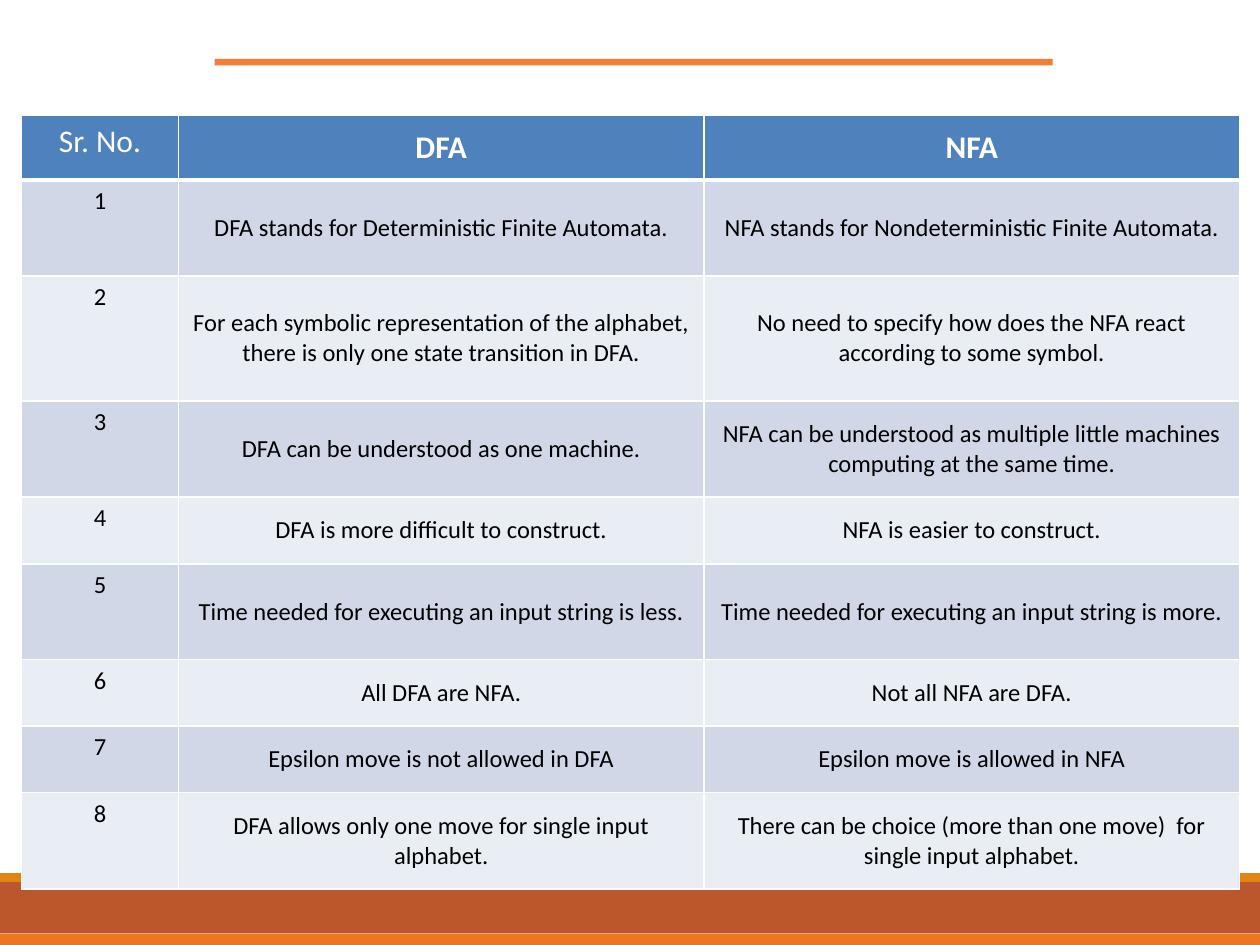
from lxml import etree
from pptx import Presentation
from pptx import util as u
from pptx.dml.color import RGBColor
from pptx.enum import shapes, text
from pptx.oxml.ns import qn

COLORS = {
    "band": "BC572C", "band_top": "E38312", "band_bottom": "EC771F",
    "title_rule": "F47C35", "header": "4F81BD", "odd": "D0D8E8",
    "even": "E9EDF4", "white": "FFFFFF", "black": "000000",
}
FONT = "Calibri"
SLIDE_W, SLIDE_H = 25.4, 19.05
COL_WIDTHS = [3.17, 10.59, 10.8]
ROW_HEIGHTS = [1.3, 1.93, 2.52, 1.93, 1.33, 1.93, 1.33, 1.33, 1.93]
HEADERS = ["Sr. No.", "DFA", "NFA"]
COMPARISONS = [
    ("DFA stands for Deterministic Finite Automata.",
     "NFA stands for Nondeterministic Finite Automata."),
    ("For each symbolic representation of the alphabet, there is only one state transition in DFA.",
     "No need to specify how does the NFA react according to some symbol."),
    ("DFA can be understood as one machine.",
     "NFA can be understood as multiple little machines computing at the same time."),
    ("DFA is more difficult to construct.", "NFA is easier to construct."),
    ("Time needed for executing an input string is less.",
     "Time needed for executing an input string is more."),
    ("All DFA are NFA.", "Not all NFA are DFA."),
    ("Epsilon move is not allowed in DFA", "Epsilon move is allowed in NFA"),
    ("DFA allows only one move for single input alphabet.",
     "There can be choice (more than one move)  for single input alphabet."),
]


def rgb(name):
    return RGBColor.from_string(COLORS[name])


def add_bar(s, left, top, width, height, color):
    bar = s.shapes.add_shape(shapes.MSO_SHAPE.RECTANGLE, u.Cm(left), u.Cm(top),
                             u.Cm(width), u.Cm(height))
    bar.shadow.inherit = False
    bar.fill.solid()
    bar.fill.fore_color.rgb = rgb(color)
    bar.line.fill.background()


def add_borders(cell, bottom):
    """Draw white cell borders; must run before the cell is filled."""
    tcPr = cell._tc.get_or_add_tcPr()
    for side, width in (("L", 1), ("R", 1), ("T", 1), ("B", bottom)):
        ln = etree.SubElement(tcPr, qn(f"a:ln{side}"), w=str(u.Pt(width)))
        fill = etree.SubElement(ln, qn("a:solidFill"))
        etree.SubElement(fill, qn("a:srgbClr"), val=COLORS["white"])


def fill_cell(cell, content, row, col):
    header, number = row == 0, col == 0
    add_borders(cell, 3 if header else 1)
    cell.fill.solid()
    cell.fill.fore_color.rgb = rgb("header" if header else "odd" if row % 2 else "even")
    cell.margin_left = cell.margin_right = u.Cm(0.25)
    cell.margin_top = cell.margin_bottom = u.Cm(0.13 if number else 0.25 if header else 0.37)
    cell.vertical_anchor = text.MSO_ANCHOR.TOP if number else text.MSO_ANCHOR.MIDDLE
    cell.text = content
    p = cell.text_frame.paragraphs[0]
    p.alignment = text.PP_ALIGN.CENTER
    p.font.name = FONT
    p.font.size = u.Pt(18 if header else 14)
    p.font.bold = header and not number
    p.font.color.rgb = rgb("white" if header else "black")


def add_comparison_table(s, left, top):
    rows = [HEADERS] + [(str(i), *pair) for i, pair in enumerate(COMPARISONS, 1)]
    table = s.shapes.add_table(len(rows), len(HEADERS), u.Cm(left), u.Cm(top),
                               u.Cm(sum(COL_WIDTHS)), u.Cm(sum(ROW_HEIGHTS))).table
    table.first_row = table.horz_banding = False
    for column, width in zip(table.columns, COL_WIDTHS):
        column.width = u.Cm(width)
    for r, (contents, height) in enumerate(zip(rows, ROW_HEIGHTS)):
        table.rows[r].height = u.Cm(height)
        for c, content in enumerate(contents):
            fill_cell(table.cell(r, c), content, r, c)


def main():
    prs = Presentation()
    prs.slide_width, prs.slide_height = u.Cm(SLIDE_W), u.Cm(SLIDE_H)
    s = prs.slides.add_slide(prs.slide_layouts[6])
    add_bar(s, 0, 17.78, SLIDE_W, 1.04, "band")
    add_bar(s, 0, 17.6, SLIDE_W, 0.18, "band_top")
    add_bar(s, 0, 18.82, SLIDE_W, 0.23, "band_bottom")
    add_bar(s, 4.33, 1.19, 16.89, 0.13, "title_rule")
    add_comparison_table(s, 0.43, 2.33)
    prs.save("out.pptx")


if __name__ == "__main__":
    main()
